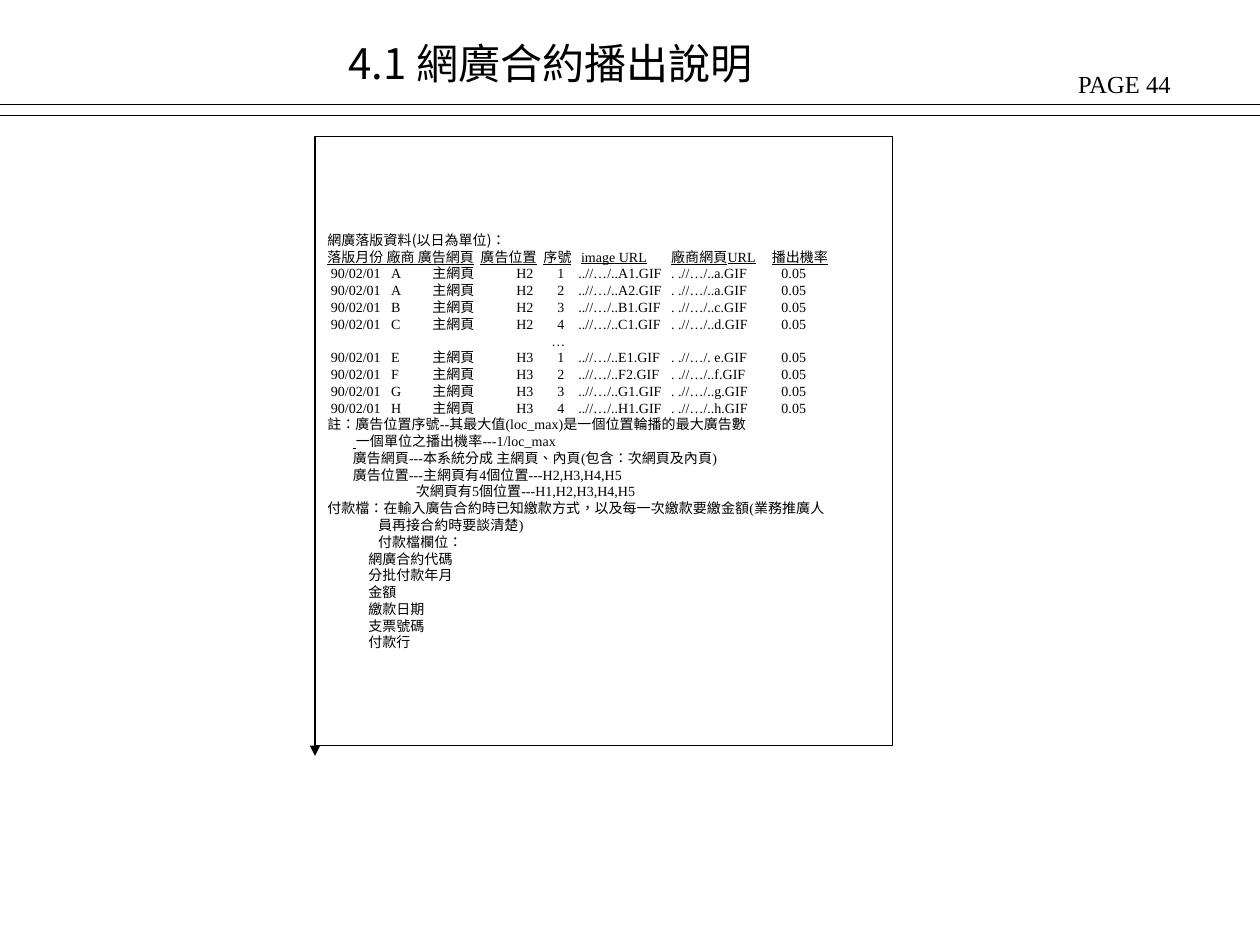
"""Build the slide on web advertising contract broadcasts."""
from pptx import Presentation
from pptx.dml.color import RGBColor
from pptx.enum.lang import MSO_LANGUAGE_ID as Language
from pptx.enum.shapes import MSO_CONNECTOR as Connector, MSO_SHAPE as Shape
from pptx.enum.text import MSO_ANCHOR as Anchor, PP_ALIGN as Align
from pptx.oxml.ns import qn
from pptx.util import Pt
from lxml.etree import SubElement

BLACK = RGBColor(0, 0, 0)
SERIF = "Times New Roman"
CJK = "Noto Sans CJK TC"

HEADINGS = ["落版月份 廠商 廣告網頁", "廣告位置", "序號", "image URL", "廠商網頁URL", "播出機率"]
HEADING_TABS = [87.5, 123.5, 145, 196.5, 254]
ROW_TABS = [2, 36.5, 60, 108, 131.5, 143.5, 196.5, 259.5]
ADS = [
    ("A", "H2", 1, "A1", "..a"), ("A", "H2", 2, "A2", "..a"),
    ("B", "H2", 3, "B1", "..c"), ("C", "H2", 4, "C1", "..d"),
    None,
    ("E", "H3", 1, "E1", ". e"), ("F", "H3", 2, "F2", "..f"),
    ("G", "H3", 3, "G1", "..g"), ("H", "H3", 4, "H1", "..h"),
]
NOTES = [
    (0, [("註：廣告位置序號--其最大值(loc_max)是一個位置輪播的最大廣告數", {})]),
    (14.5, [(" ", {"underline": True}), ("一個單位之播出機率---1/loc_max", {})]),
    (14.5, [("廣告網頁---本系統分成 主網頁、內頁(包含：次網頁及內頁)", {})]),
    (14.5, [("廣告位置---主網頁有4個位置---H2,H3,H4,H5", {})]),
    (50.5, [("次網頁有5個位置---H1,H2,H3,H4,H5", {})]),
    (0, [("付款檔：在輸入廣告合約時已知繳款方式", {"font": CJK}),
         ("，以及每一次繳款要繳金額(業務推廣人", {})]),
    (29, [("員再接合約時要談清楚)", {})]),
    (29, [("付", {}), ("款檔欄位：", {"font": CJK})]),
]
PAYMENT_FIELDS = ["網廣合約代碼", "分批付款年月", "金額", "繳款日期", "支票號碼", "付款行"]


def add_span(para, text, size=8, font=SERIF, underline=False):
    """Add formatted text to a paragraph."""
    span = para.add_run()
    span.text = text
    span.font.size = Pt(size)
    span.font.name = font
    span.font.color.rgb = BLACK
    span.font.language_id = Language.TAIWAN if hasattr(Language, "TAIWAN") else Language.TRADITIONAL_CHINESE
    if underline:
        span.font.underline = True
    SubElement(span.font._element, qn("a:ea"), typeface=CJK)


class Page:
    """Hold the line style and the current slide."""

    def __init__(self, deck, line_width=0.75):
        """Add a blank page to the deck."""
        self.page = deck.slides.add_slide(deck.slide_layouts[6])
        self.line_width = Pt(line_width)

    def label(self, left, top, width, height, text, wrap=True, **format):
        """Add a one-line text box."""
        box = self.page.shapes.add_textbox(Pt(left), Pt(top), Pt(width), Pt(height))
        box.text_frame.word_wrap = wrap
        add_span(box.text_frame.paragraphs[0], text, **format)

    def line(self, start, end, arrow=False):
        """Add a straight line, with an arrowhead if asked."""
        line = self.page.shapes.add_connector(Connector.STRAIGHT, *map(Pt, start + end))
        line.line.color.rgb = BLACK
        line.line.width = self.line_width
        if arrow:
            SubElement(line.line._get_or_add_ln(), qn("a:tailEnd"), type="triangle")
        SubElement(line._element.spPr, qn("a:effectLst"))

    def panel(self, left, top, width, height, lines):
        """Add an outlined rectangle with lines of (indent, tabs, spans)."""
        box = self.page.shapes.add_shape(Shape.RECTANGLE, Pt(left), Pt(top), Pt(width), Pt(height))
        box.shadow.inherit = False
        box.fill.background()
        box.line.color.rgb = BLACK
        box.line.width = self.line_width
        frame = box.text_frame
        frame.word_wrap = True
        frame.vertical_anchor = Anchor.MIDDLE
        for number, (indent, tabs, spans) in enumerate(lines):
            para = frame.add_paragraph() if number else frame.paragraphs[0]
            para.alignment = Align.LEFT
            para.line_spacing = Pt(9.57)
            properties = para._p.get_or_add_pPr()
            if indent:
                properties.set("marL", str(Pt(indent)))
            if tabs:
                stops = SubElement(properties, qn("a:tabLst"))
                for tab in tabs:
                    SubElement(stops, qn("a:tab"), pos=str(Pt(tab)), algn="l")
            for text, format in spans:
                add_span(para, text, **format)


def ad_line(ad):
    """Return the panel line for one advertisement, or for the gap in the list."""
    if ad is None:
        return 0, [128], [("\t…", {})]
    vendor, place, order, image, link = ad
    cells = ["", "90/02/01", vendor, "主網頁", place, str(order),
             f"..//…/..{image}.GIF", f". .//…/{link}.GIF", "0.05"]
    return 0, ROW_TABS, [("\t".join(cells), {})]


def main():
    """Build and save the deck."""
    deck = Presentation()
    deck.slide_width, deck.slide_height = Pt(720), Pt(540)
    page = Page(deck)
    page.label(609, 36, 113, 24.5, "PAGE 44", wrap=False, size=14)
    page.label(192, 18, 276, 36, "4.1 網廣合約播出說明", size=24, font=CJK)
    for height in (59.8, 66):
        page.line((0, height), (720, height))
    page.line((180, 414), (180, 432), arrow=True)
    lines = [(0, [], [("網廣落版資料(以日為單位)：", {"font": CJK})]),
             (0, HEADING_TABS, [("\t".join(HEADINGS), {"underline": True})])]
    lines += [ad_line(ad) for ad in ADS]
    lines += [(indent, [], spans) for indent, spans in NOTES]
    lines += [(23.4, [], [(field, {"font": CJK})]) for field in PAYMENT_FIELDS]
    page.panel(180, 78, 330, 348, lines)
    deck.save("out.pptx")


if __name__ == "__main__":
    main()
